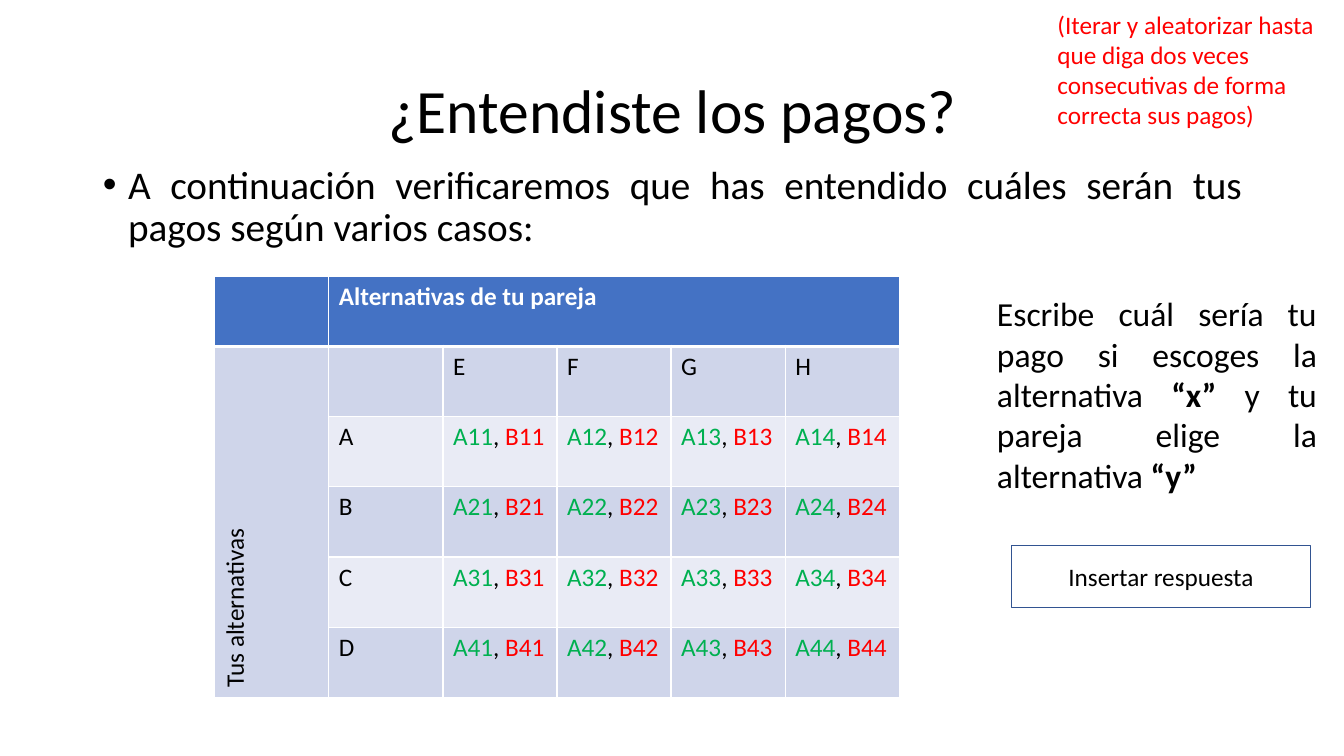
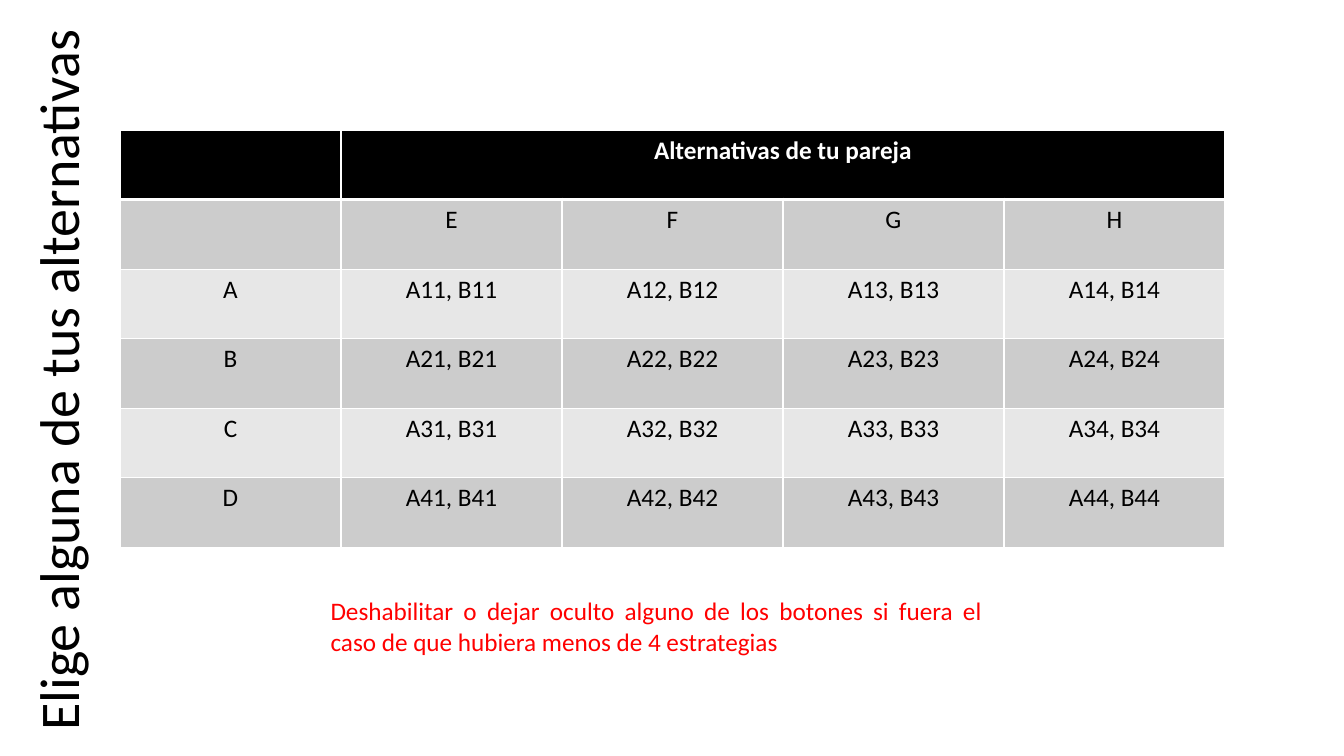
from pptx import Presentation
from pptx.util import Inches, Pt
from pptx.dml.color import RGBColor as RGB
from pptx.enum.shapes import MSO_SHAPE as Shape
from pptx.enum.text import MSO_ANCHOR as Anchor, MSO_AUTO_SIZE as Fit, PP_ALIGN as Align
from pptx.oxml import parse_xml as to_xml
from pptx.oxml.ns import nsdecls

BLACK = RGB(0x00, 0x00, 0x00)
WHITE = RGB(0xFF, 0xFF, 0xFF)
RED = RGB(0xFF, 0x00, 0x00)
GREEN = RGB(0x00, 0xB0, 0x50)
NAVY = RGB(0x32, 0x54, 0x91)
BLUES = RGB(0x44, 0x72, 0xC4), RGB(0xCF, 0xD5, 0xEA), RGB(0xE9, 0xEB, 0xF5)
GRAYS = BLACK, RGB(0xCC, 0xCC, 0xCC), RGB(0xE7, 0xE7, 0xE7)
FONT = "Calibri"
HEAD = "Alternativas de tu pareja"


def write(frame, runs, size=18, **form):
    para = frame.paragraphs[0]
    for key, value in form.items():
        setattr(para, key, value)
    for text, color, bold in runs:
        run = para.add_run()
        run.text = text
        for key, value in {"name": FONT, "size": Pt(size), "bold": bold}.items():
            setattr(run.font, key, value)
        run.font.color.rgb = color


def place(shape, box, **form):
    for key, value in zip(("left", "top", "width", "height"), box):
        setattr(shape, key, Inches(value))
    frame = shape.text_frame
    for key, value in {"word_wrap": True, "auto_size": Fit.NONE, **form}.items():
        setattr(frame, key, value)
    return frame


deck = Presentation()
deck.slide_width, deck.slide_height = Inches(13.33), Inches(7.5)
quiz = deck.slides.add_slide(deck.slide_layouts[1])
pick = deck.slides.add_slide(deck.slide_layouts[6])

title = place(quiz.shapes.title, (0.92, 0.4, 11.5, 1.45), vertical_anchor=Anchor.MIDDLE)
write(title, [("¿Entendiste los pagos?", BLACK, False)], 44,
      alignment=Align.CENTER, line_spacing=0.9)

body = place(quiz.placeholders[1], (0.92, 1.59, 11.5, 5.17))
intro = "A continuación verificaremos que has entendido cuáles serán tus pagos según varios casos:"
write(body, [(intro, BLACK, False)], 28,
      alignment=Align.JUSTIFY, line_spacing=0.9, space_before=Pt(10))
props = body.paragraphs[0]._p.get_or_add_pPr()
props.set("marL", str(Inches(0.25)))
props.set("indent", str(Inches(-0.25)))

lead = "Elige alguna de tus alternativas"
loop = "(Iterar y aleatorizar hasta que diga dos veces consecutivas de forma correcta sus pagos)"
hide = ("Deshabilitar o dejar oculto alguno de los botones si fuera el caso "
        "de que hubiera menos de 4 estrategias")
ask = [("Escribe cuál sería tu pago si escoges la alternativa ", BLACK, False),
       ("“x”", BLACK, True),
       (" y tu pareja elige la alternativa ", BLACK, False),
       ("“y”", BLACK, True)]
for slide, box, runs, size, align, turn in (
    (quiz, (10.39, 0.04, 2.97, 1.62), [(loop, RED, False)], 18, Align.LEFT, "horz"),
    (quiz, (9.79, 2.86, 3.37, 2.83), ask, 24, Align.JUSTIFY, "horz"),
    (pick, (0.18, 0.14, 0.88, 7.21), [(lead, BLACK, False)], 40, Align.LEFT, "vert270"),
    (pick, (3.18, 5.86, 6.66, 0.71), [(hide, RED, False)], 18, Align.JUSTIFY, "horz"),
):
    frame = place(slide.shapes.add_textbox(0, 0, 0, 0), box)
    frame._txBody.bodyPr.set("vert", turn)
    write(frame, runs, size, alignment=align)

reply = quiz.shapes.add_shape(Shape.RECTANGLE, 0, 0, 0, 0)
reply.shadow.inherit = False
reply.fill.background()
reply.line.color.rgb = NAVY
reply.line.width = Pt(1)
frame = place(reply, (10.03, 5.41, 2.97, 0.62), vertical_anchor=Anchor.MIDDLE)
write(frame, [("Insertar respuesta", BLACK, False)], alignment=Align.CENTER)

for slide, box, shift, tones, inks, align in (
    (quiz, (2.13, 2.74, 6.79, 4.18), 1, BLUES, (GREEN, RED), Align.LEFT),
    (pick, (1.19, 1.29, 10.96, 4.14), 0, GRAYS, (BLACK, BLACK), Align.CENTER),
):
    grid = slide.shapes.add_table(6, 5 + shift, *map(Inches, box)).table
    for r, row in enumerate(grid.rows):
        for cell in row.cells:
            edges = cell._tc.get_or_add_tcPr()
            for edge in "LRTB":
                wide = Pt(3 if (r, edge) in ((0, "B"), (1, "T")) else 1)
                edges.append(to_xml(
                    f'<a:ln{edge} {nsdecls("a")} w="{wide}"><a:solidFill>'
                    f'<a:srgbClr val="{WHITE}"/></a:solidFill></a:ln{edge}>'))
            cell.fill.solid()
            cell.fill.fore_color.rgb = tones[0] if r == 0 else tones[2 - r % 2]
    grid.cell(0, 1).merge(grid.cell(0, 4 + shift))
    write(grid.cell(0, 1).text_frame, [(HEAD, WHITE, True)], alignment=align)
    if shift:
        own = grid.cell(1, 0)
        own.merge(grid.cell(5, 0))
        own._tc.get_or_add_tcPr().set("vert", "vert270")
        write(own.text_frame, [("Tus alternativas", BLACK, False)])
    for i in range(1, 5):
        for r, c, name in ((1, i + shift, "EFGH"[i - 1]), (i + 1, shift, "ABCD"[i - 1])):
            write(grid.cell(r, c).text_frame, [(name, BLACK, False)], alignment=align)
        for j in range(1, 5):
            pay = [(f"A{i}{j}", inks[0], False), (", ", BLACK, False),
                   (f"B{i}{j}", inks[1], False)]
            write(grid.cell(i + 1, j + shift).text_frame, pay, alignment=align)

deck.save("out.pptx")
